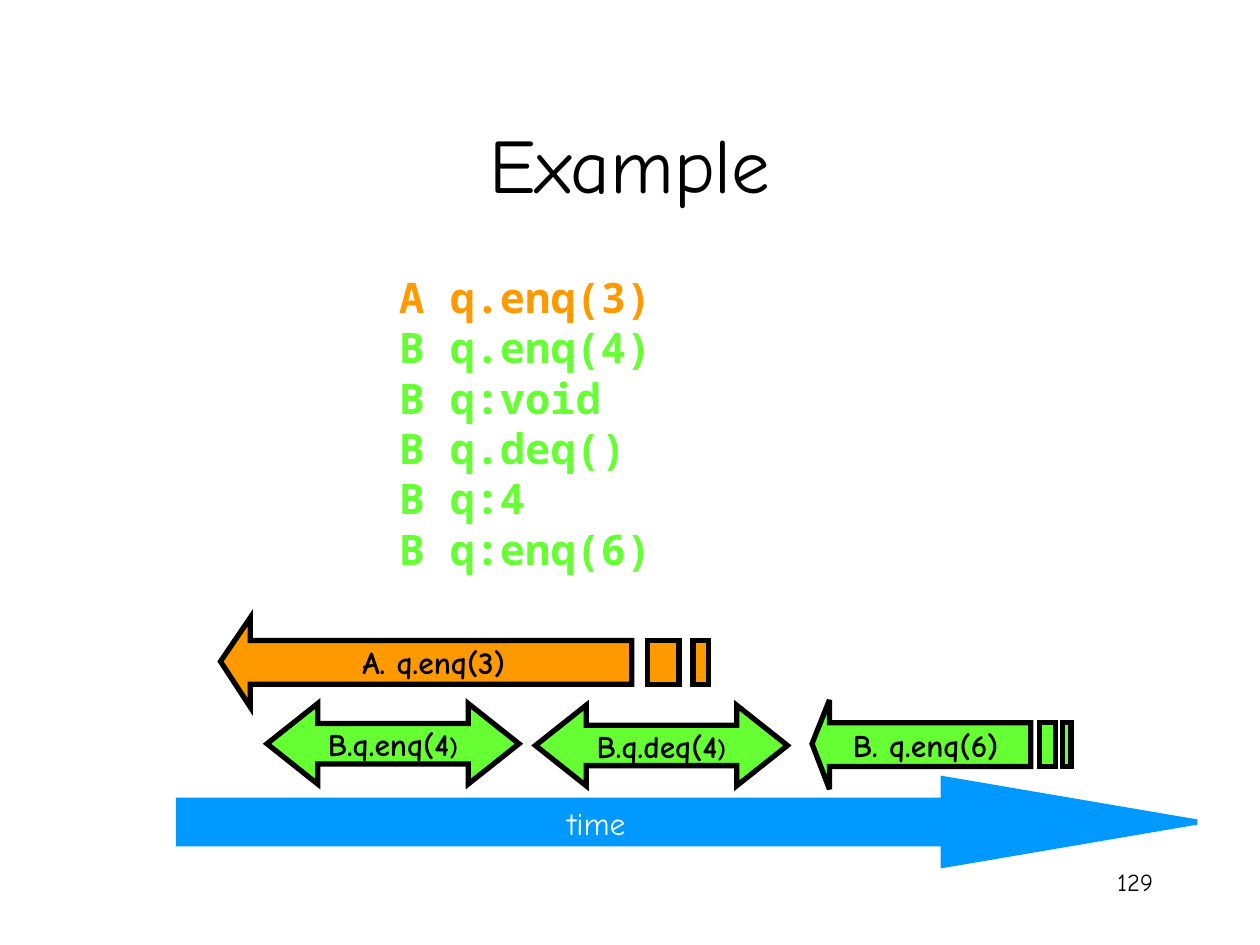
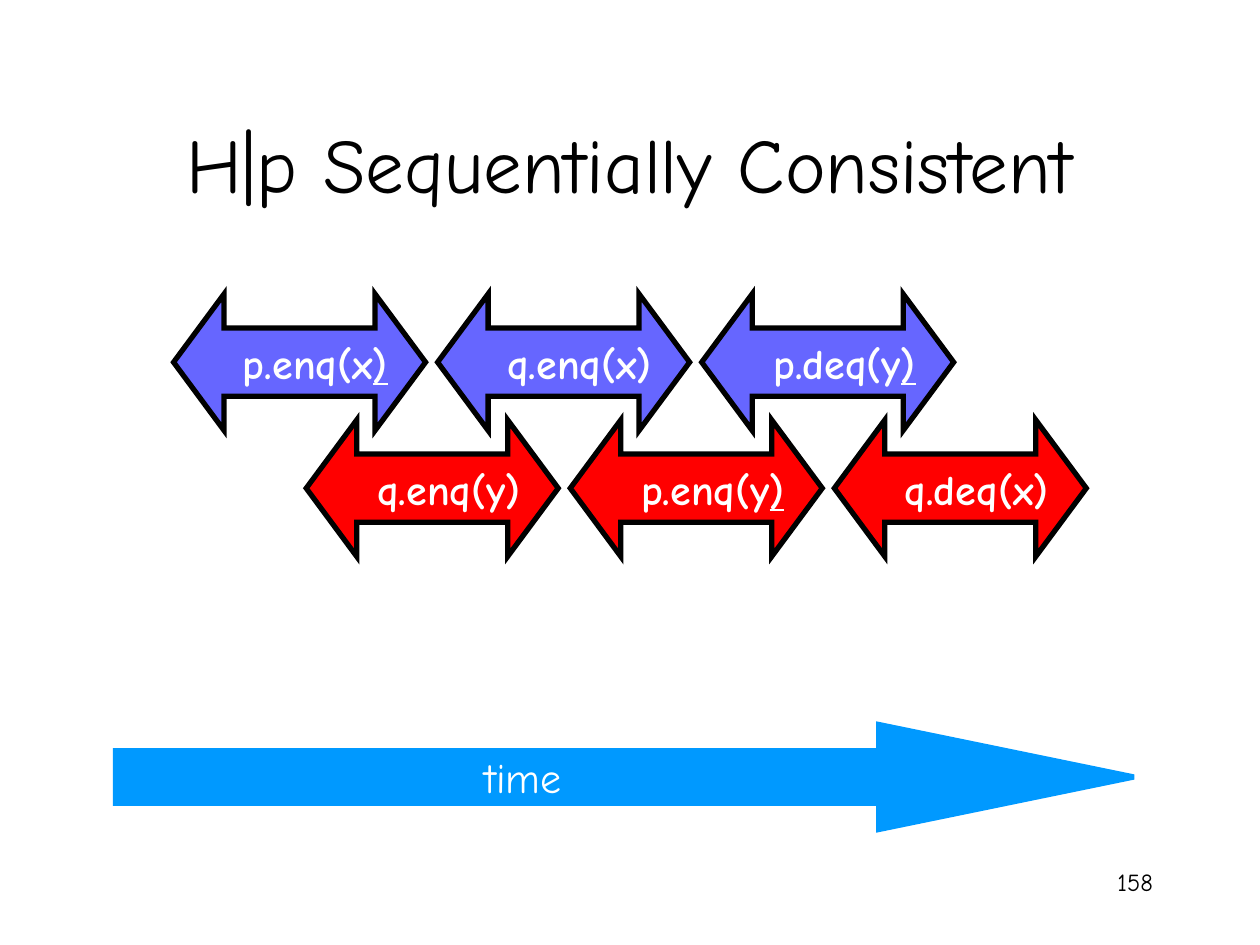
"""Build two slides on concurrent queue histories with timeline arrows."""
from lxml import etree
from pptx import Presentation
from pptx import util as u
from pptx.dml.color import RGBColor
from pptx.enum import shapes, text
from pptx.oxml.ns import qn

Pt = u.Pt
COLORS = {"black": "000000", "white": "FFFFFF", "orange": "FF9900", "green": "66FF33",
          "time": "0099FF", "blue": "6666FF", "red": "FF0000"}
FONT, MONO = "Comic Neue", "Noto Sans Mono"
LEFT, CENTER, RIGHT = text.PP_ALIGN.LEFT, text.PP_ALIGN.CENTER, text.PP_ALIGN.RIGHT
INSET = 7.2


def rgb(name):
    """Return the named palette colour."""
    return RGBColor.from_string(COLORS[name])


def style_run(r, size, color, bold=False, font=FONT):
    """Apply font settings to a run."""
    r.font.name, r.font.size, r.font.bold = font, Pt(size), bold
    r.font.color.rgb = rgb(color)


def add_text(s, box, lines, size, color="black", align=LEFT, wrap=True):
    """Add a text box with one paragraph per line and return its frame."""
    tf = s.shapes.add_textbox(*map(Pt, box)).text_frame
    tf.word_wrap = wrap
    tf.text = lines
    for p in tf.paragraphs:
        p.alignment = align
        style_run(p.runs[0], size, color)
    return tf


def style_shape(sp, fill, line="black"):
    """Give a shape a flat fill and a sharp 3 pt outline."""
    sp.shadow.inherit = False
    sp.fill.solid()
    sp.fill.fore_color.rgb = rgb(fill)
    sp.line.color.rgb = rgb(line)
    sp.line.width = Pt(3)
    etree.SubElement(sp.line._get_or_add_ln(), qn("a:miter"), lim="800000")


def add_label(sp, label, size, color="black", align=CENTER):
    """Write a bold unwrapped label in a shape and return its paragraph."""
    tf = sp.text_frame
    tf.word_wrap = False
    tf.vertical_anchor = text.MSO_ANCHOR.MIDDLE
    p = tf.paragraphs[0]
    p.text = label
    p.alignment = align
    style_run(p.runs[0], size, color, True)
    return p


def add_arrow(s, kind, box, head, fill, line="black"):
    """Add a preset block arrow with the given head ratio."""
    sp = s.shapes.add_shape(kind, *map(Pt, box))
    sp.adjustments[0], sp.adjustments[1] = 0.5, head
    style_shape(sp, fill, line)
    return sp


def add_call(s, box, head, fill, label, size, color, align, ending="", ending_size=None, underline=False):
    """Add a completed call as a double arrow, with an optional styled ending."""
    sp = add_arrow(s, shapes.MSO_SHAPE.LEFT_RIGHT_ARROW, box, head, fill)
    p = add_label(sp, label, size, color, align)
    if ending:
        r = p.add_run()
        r.text = ending
        style_run(r, ending_size or size, color, True)
        r.font.underline = underline


def add_pending_call(s, box, head, body_end, blocks, fill, label):
    """Add a pending call as a left arrow whose tail breaks into blocks."""
    x, y, w, h = box
    top, bottom = y + h / 4, y + h * 3 / 4
    neck, tail = x + head, x + body_end
    outlines = [[(neck, y), (neck, top), (tail, top), (tail, bottom),
                 (neck, bottom), (neck, y + h), (x, y + h / 2)]]
    outlines += [[(x + b, top), (x + b, bottom), (x + a, bottom), (x + a, top)] for a, b in blocks]
    builder = s.shapes.build_freeform(*outlines[0][0], scale=Pt(1))
    for i, outline in enumerate(outlines):
        if i:
            builder.move_to(*outline[0])
        builder.add_line_segments(outline[1:], close=True)
    sp = builder.convert_to_shape()
    style_shape(sp, fill)
    add_label(sp, label, 18)
    sp.text_frame.margin_left = Pt(INSET + head / 2)
    sp.text_frame.margin_right = Pt(INSET + w - body_end)


def add_time_arrow(s, box, head, label_box, size):
    """Add the time axis; the label box is relative to the arrow."""
    add_arrow(s, shapes.MSO_SHAPE.RIGHT_ARROW, box, head, "time", "time")
    x, y, w, h = label_box
    add_text(s, (box[0] + x, box[1] + y, w, h), "time", size, "white", RIGHT, False)


def add_history(s, box, events):
    """List history events in the colour of their thread."""
    tf = add_text(s, box, "\n".join(events), 24)
    tf.margin_top = Pt(6)
    for p in tf.paragraphs:
        p.line_spacing = Pt(28.8)
        style_run(p.runs[0], 24, "orange" if p.text.startswith("A") else "green", True, MONO)


def add_base(prs, title, number):
    """Add a blank slide with its title and page number."""
    s = prs.slides.add_slide(prs.slide_layouts[6])
    add_text(s, (516, 492, 150, 36), number, 14, align=RIGHT)
    tf = add_text(s, (54, 48, 612, 90), title, 44, align=CENTER)
    tf.vertical_anchor = text.MSO_ANCHOR.MIDDLE
    return s


def build_example(prs):
    """Build the example history with pending and completed calls."""
    s = add_base(prs, "Example", "129")
    add_history(s, (221, 149, 220, 180), ["A q.enq(3)", "B q.enq(4)", "B q:void", "B q.deq()",
                                         "B q:4", "B q:enq(6)"])
    add_time_arrow(s, (102, 445, 582, 49.5), 2.93, (210.5, 11, 52, 28.8), 18)
    add_pending_call(s, (125.5, 352.8, 279.5, 51), 17.3, 235.5, [(245, 262), (271, 279.5)],
                     "orange", "A. q.enq(3)")
    for x, y, label in [(152.6, 402, "B.q.enq(4"), (306, 403, "B.q.deq(4")]:
        add_call(s, (x, y, 144, 46), 0.63, "green", label, 18, "black", CENTER, ")", 14)
    add_pending_call(s, (464.5, 399.8, 147, 51), 9, 124.5, [(129, 138.5), (142.8, 147)],
                     "green", "B. q.enq(6)")


def build_consistent(prs):
    """Build the interleaving of two threads in staggered rows."""
    s = add_base(prs, "H|p Sequentially Consistent", "158")
    rows = [(99.2, 168, "blue", ["p.enq(x)", "q.enq(x)", "p.deq(y)"]),
            (175, 240, "red", ["q.enq(y)", "p.enq(y)", "q.deq(x)"])]
    for left, top, fill, calls in rows:
        for i, call in enumerate(calls):
            add_call(s, (left + 150.9 * i, top, 144, 78), 0.37, fill, call[:-1], 24, "white",
                     RIGHT, call[-1], underline=call.startswith("p"))
    add_time_arrow(s, (66, 414, 582, 60), 2.43, (198, 12, 64, 36), 24)


def main():
    """Create and save the presentation."""
    prs = Presentation()
    prs.slide_width, prs.slide_height = Pt(720), Pt(540)
    build_example(prs)
    build_consistent(prs)
    prs.save("out.pptx")


if __name__ == "__main__":
    main()
